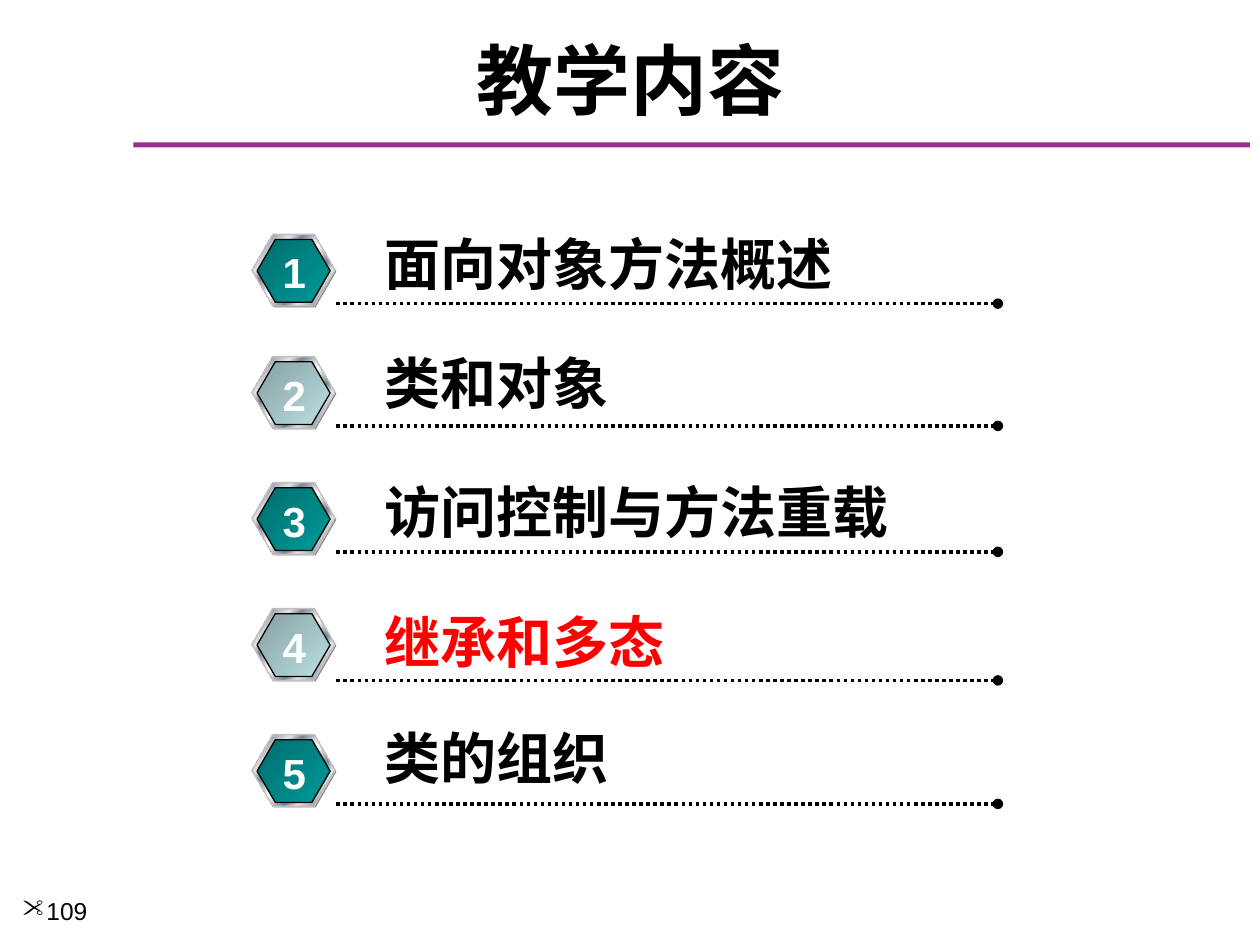
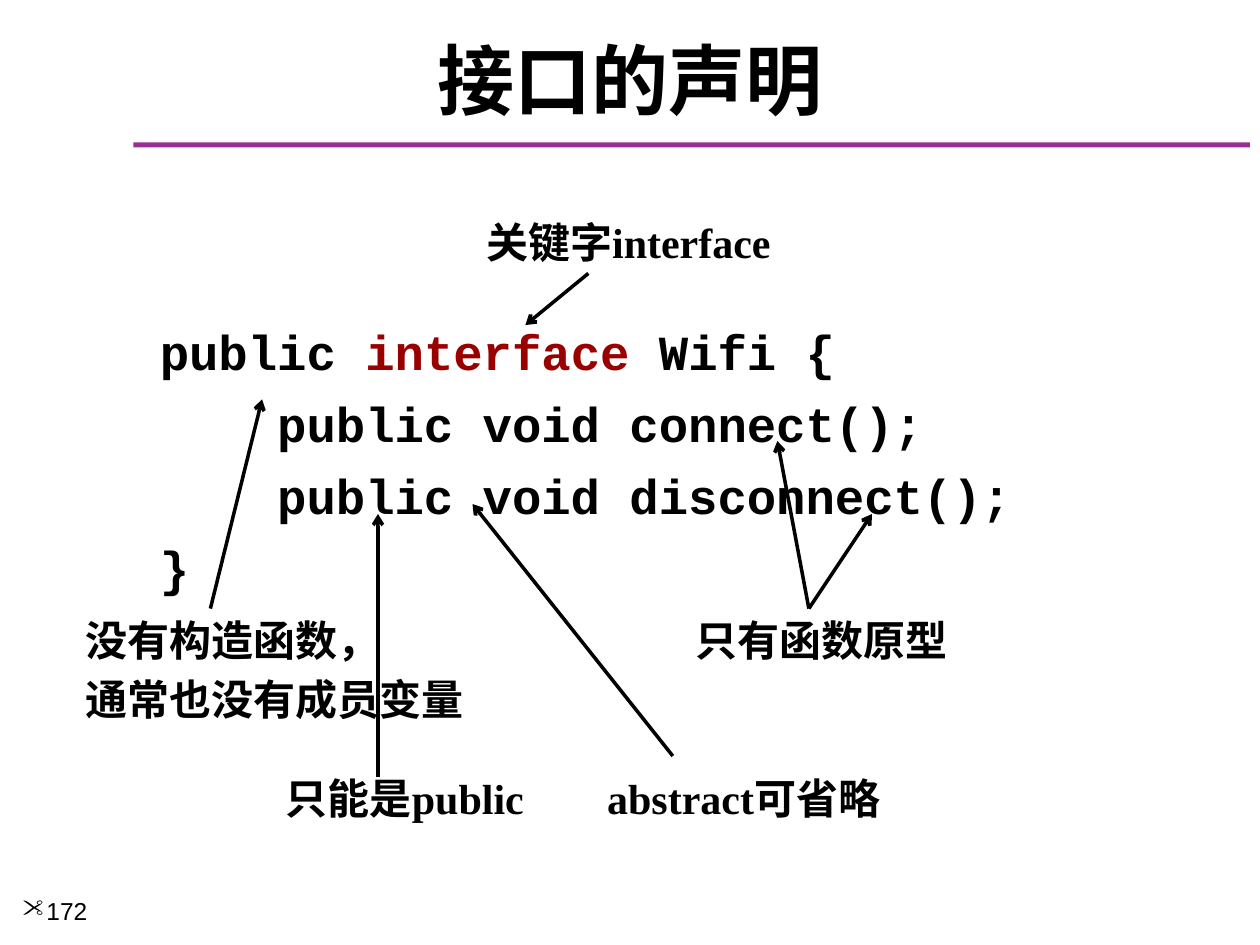
from lxml import etree
from pptx import Presentation
from pptx.dml.color import RGBColor
from pptx.enum.dml import MSO_LINE
from pptx.enum.lang import MSO_LANGUAGE_ID as Language
from pptx.enum.shapes import MSO_CONNECTOR as Connector, MSO_SHAPE as Shape
from pptx.enum.text import MSO_ANCHOR as Anchor, MSO_AUTO_SIZE as AutoSize, PP_ALIGN as Align
from pptx.oxml.ns import qn
from pptx.util import Inches, Pt

BLACK = RGBColor(0x00, 0x00, 0x00)
WHITE = RGBColor(0xFF, 0xFF, 0xFF)
RED = RGBColor(0xFF, 0x00, 0x00)
KEYWORD = RGBColor(0x99, 0x00, 0x00)
PURPLE = RGBColor(0x97, 0x30, 0x95)
GREY = RGBColor(0x80, 0x80, 0x80)
SILVER = RGBColor(0xC0, 0xC0, 0xC0)
LIGHT = RGBColor(0xE6, 0xE6, 0xE6)
STEEL = RGBColor(0x7D, 0x84, 0x96)
TEAL = ((0, RGBColor(0x00, 0x6D, 0x6D)), (100, RGBColor(0x00, 0x99, 0x99)))
MIST = ((0, RGBColor(0x86, 0xA0, 0xA2)), (100, RGBColor(0xBB, 0xE0, 0xE3)))
METAL = ((0, LIGHT), (8, STEEL), (26, LIGHT), (34, STEEL), (46, LIGHT), (50, WHITE),
         (54, LIGHT), (66, STEEL), (74, LIGHT), (92, STEEL), (100, LIGHT))

TOPICS = (
    ("面向对象方法概述", 1.77, 1.86, 2.41, 3.81, BLACK),
    ("类和对象", 2.72, 2.83, 3.38, 2, BLACK),
    ("访问控制与方法重载", 3.74, 3.83, 4.38, 4.26, BLACK),
    ("继承和多态", 4.77, 4.83, 5.4, 2.45, RED),
    ("类的组织", 5.69, 5.83, 6.38, 2, BLACK),
)
CODE = (
    (("public ", BLACK), ("interface", KEYWORD), (" Wifi {", BLACK)),
    "    public void connect();",
    "    public void disconnect();",
    "}",
)
NOTES = (
    (("关键字interface",), (3.76, 1.67, 2.49, 0.5)),
    (("只有函数原型",), (5.42, 4.83, 2.23, 0.5)),
    (("没有构造函数，", "通常也没有成员变量"), (0.58, 4.83, 3.25, 0.99)),
    (("只能是public",), (2.17, 6.08, 2.11, 0.5)),
    (("abstract可省略",), (4.72, 6.08, 2.4, 0.5)),
)
ARROWS = (
    ((4.67, 2.17), (4.17, 2.58)),
    ((6.42, 4.83), (6.17, 3.5)),
    ((6.42, 4.83), (6.92, 4.08)),
    ((1.67, 4.83), (2.08, 3.17)),
    ((3, 6.17), (3, 4.08)),
    ((5.34, 6), (3.75, 4)),
)


class Lecture:
    """Holds the deck style and draws on the current page."""

    def __init__(self):
        self.deck = Presentation()
        self.deck.slide_width = Inches(10)
        self.deck.slide_height = Inches(7.5)
        self.page = None

    def start(self, title, number):
        self.page = self.deck.slides.add_slide(self.deck.slide_layouts[6])
        self.shape(Shape.RECTANGLE, (1.06, 1.13, 8.86, 0.04), PURPLE)
        heading = self.text([title], (0.17, 0.25, 9.67, 0.75), 44, "Noto Sans CJK SC", align=Align.CENTER)
        heading.text_frame.auto_size = AutoSize.NONE
        heading.text_frame.vertical_anchor = Anchor.MIDDLE
        for para in heading.text_frame.paragraphs:
            for span in para.runs:
                east = etree.SubElement(span.font._element, qn("a:ea"))
                east.set("typeface", "Noto Sans CJK SC")
        footer = self.text([number], (0.08, 7.06, 1.08, 0.44), 14, bold=False)
        self.bullet(footer.text_frame.paragraphs[0])

    def bullet(self, para):
        properties = para._p.get_or_add_pPr()
        properties.set("marL", str(Inches(0.19)))
        properties.set("indent", str(-Inches(0.19)))
        etree.SubElement(properties, qn("a:buFont")).set("typeface", "Wingdings")
        etree.SubElement(properties, qn("a:buChar")).set("char", '"')

    def text(self, lines, place, size, font="Arial", color=BLACK, bold=True,
             align=Align.LEFT, gap=5, parent=None):
        box = (parent or self.page).shapes.add_textbox(*map(Inches, place))
        frame = box.text_frame
        frame.word_wrap = True
        frame.auto_size = AutoSize.SHAPE_TO_FIT_TEXT
        for index, line in enumerate(lines):
            para = frame.add_paragraph() if index else frame.paragraphs[0]
            para.alignment = align
            if index:
                para.space_before = Pt(gap)
            for words, ink in ((line, color),) if isinstance(line, str) else line:
                span = para.add_run()
                span.text = words
                span.font.size = Pt(size)
                span.font.name = font
                span.font.bold = bold
                span.font.color.rgb = ink
                span.font.language_id = Language.SIMPLIFIED_CHINESE
        return box

    def shape(self, kind, place, fill, edge=None, parent=None):
        shape = (parent or self.page).shapes.add_shape(kind, *map(Inches, place))
        shape.shadow.inherit = False
        if isinstance(fill, RGBColor):
            shape.fill.solid()
            shape.fill.fore_color.rgb = fill
        else:
            self.gradient(shape, fill)
        if edge is None:
            shape.line.fill.background()
        else:
            shape.line.color.rgb = edge
            shape.line.width = Pt(0.75)
        return shape

    def gradient(self, shape, stops):
        shape.fill.gradient()
        shape.fill.gradient_angle = 315
        stop_list = shape._element.spPr.find(qn("a:gradFill")).find(qn("a:gsLst"))
        for old in list(stop_list):
            stop_list.remove(old)
        for position, color in stops:
            stop = etree.SubElement(stop_list, qn("a:gs"))
            stop.set("pos", str(position * 1000))
            etree.SubElement(stop, qn("a:srgbClr")).set("val", str(color))

    def line(self, start, end, head, dash=None):
        line = self.page.shapes.add_connector(Connector.STRAIGHT, *map(Inches, start + end))
        line.line.color.rgb = BLACK
        line.line.width = Pt(2)
        if dash is not None:
            line.line.dash_style = dash
        etree.SubElement(line.line._get_or_add_ln(), qn("a:tailEnd")).set("type", head)
        etree.SubElement(line._element.spPr, qn("a:effectLst"))

    def badge(self, number, top, fill):
        group = self.page.shapes.add_group_shape()
        for place, paint, edge in (
            ((2.01, top + 0.01, 0.66, 0.57), GREY, None),
            ((2, top, 0.66, 0.57), METAL, SILVER),
            ((2.04, top + 0.04, 0.58, 0.5), fill, BLACK),
        ):
            hexagon = self.shape(Shape.HEXAGON, place, paint, edge, group)
            hexagon.adjustments[0] = 0.29
            hexagon.adjustments[1] = 1.15
        self.text([str(number)], (2.14, top + 0.05, 0.39, 0.5), 24, color=WHITE,
                  align=Align.CENTER, parent=group)


def main():
    lecture = Lecture()

    lecture.start("教学内容", "109")
    for number, (topic, text_top, badge_top, rule, width, color) in enumerate(TOPICS, 1):
        lecture.line((2.67, rule), (7.92, rule), "oval", MSO_LINE.ROUND_DOT)
        lecture.text([topic], (2.95, text_top, width, 0.64), 32, color=color)
        lecture.badge(number, badge_top, TEAL if number % 2 else MIST)

    lecture.start("接口的声明", "172")
    lecture.text(CODE, (1.17, 2.5, 7.01, 2.27), 28, "Courier New", gap=7.5)
    for start, end in ARROWS:
        lecture.line(start, end, "arrow")
    for lines, place in NOTES:
        lecture.text(lines, place, 24, "Times New Roman")

    lecture.deck.save("out.pptx")


if __name__ == "__main__":
    main()
